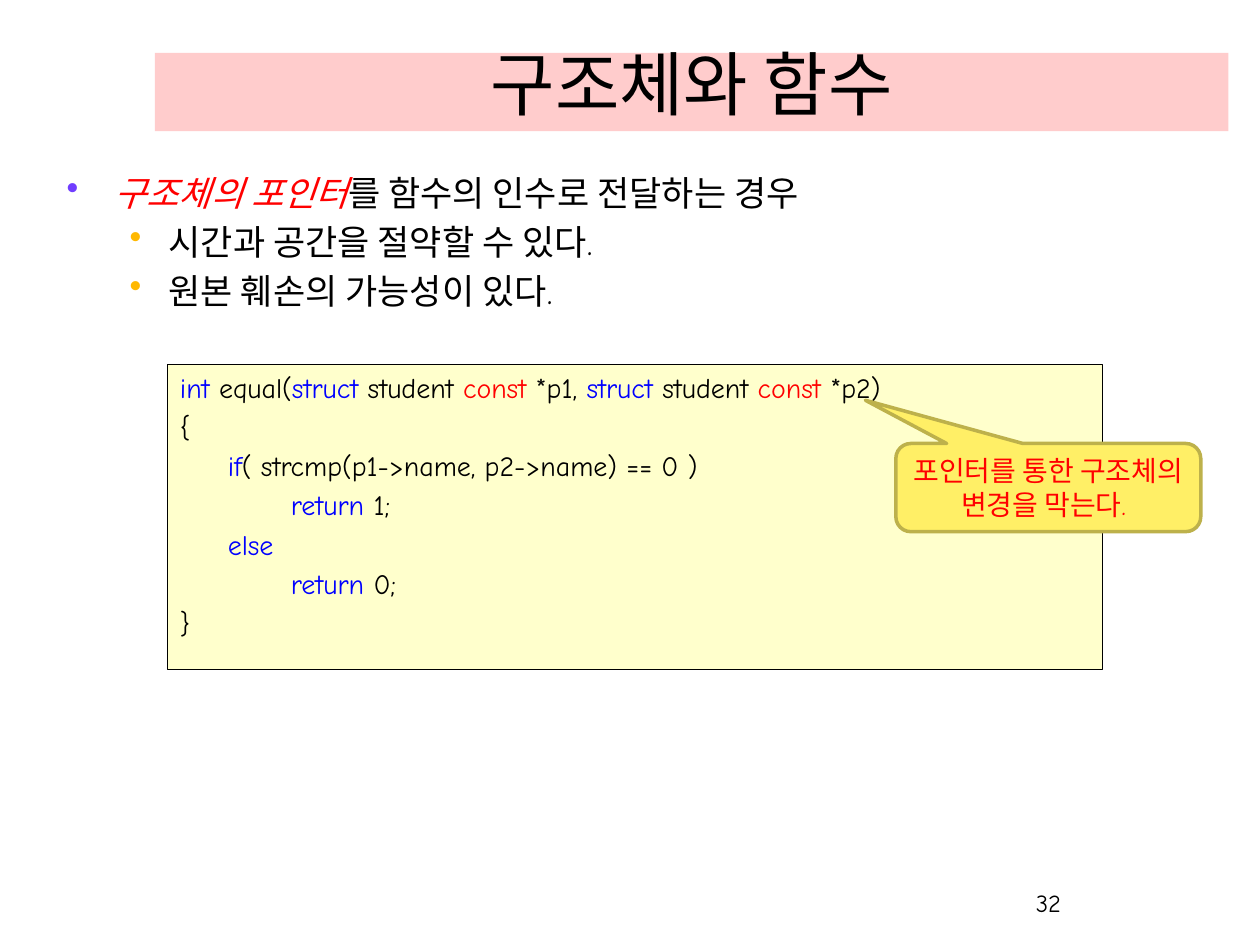
from dataclasses import dataclass

from lxml import etree
from pptx import Presentation
from pptx.dml.color import RGBColor
from pptx.enum.shapes import MSO_SHAPE
from pptx.enum.text import MSO_ANCHOR, MSO_AUTO_SIZE, PP_ALIGN
from pptx.oxml.ns import qn
from pptx.util import Inches, Pt

RECTANGLE = MSO_SHAPE.RECTANGLE
CALLOUT = MSO_SHAPE.ROUNDED_RECTANGULAR_CALLOUT
TOP, MIDDLE, BOTTOM = MSO_ANCHOR.TOP, MSO_ANCHOR.MIDDLE, MSO_ANCHOR.BOTTOM
LEFT, CENTER, RIGHT = PP_ALIGN.LEFT, PP_ALIGN.CENTER, PP_ALIGN.RIGHT
JUSTIFY = PP_ALIGN.JUSTIFY
FIXED_SIZE = MSO_AUTO_SIZE.NONE
TITLE_ONLY = 5
WIDTH, HEIGHT = 10, 7.5


@dataclass(frozen=True)
class Theme:
    font: str = "Comic Neue"
    title_size: int = 40
    body_size: int = 20
    code_size: int = 16
    number_size: int = 14
    text: str = "000000"
    keyword: str = "0000FF"
    accent: str = "FF0000"
    title_fill: str = "FFCCCC"
    code_fill: str = "FFFFCC"
    callout_fill: str = "FFEF66"
    callout_line: str = "BDB14B"
    bullets: tuple = ("703DFF", "FFB800")
    indents: tuple = ((0.38, -0.38), (0.81, -0.31))
    space_before: int = 20


THEME = Theme()
PLAIN, KEYWORD, ACCENT = THEME.text, THEME.keyword, THEME.accent

# Each line is a list of (text, colour) pieces.
POINTS = [
    (0, [("구조체의 포인터", ACCENT), ("를 함수의 인수로 전달하는 경우", PLAIN)]),
    (1, [("시간과 공간을 절약할 수 있다.", PLAIN)]),
    (1, [("원본 훼손의 가능성이 있다.", PLAIN)]),
]
CODE = [
    [("int", KEYWORD), (" equal(", PLAIN), ("struct ", KEYWORD),
     ("student ", PLAIN), ("const", ACCENT), (" *p1, ", PLAIN),
     ("struct", KEYWORD), (" student ", PLAIN), ("const", ACCENT),
     (" *p2)", PLAIN)],
    [("{", PLAIN)],
    [("\t", PLAIN), ("if", KEYWORD),
     ("( strcmp(p1->name, p2->name) == 0 )", PLAIN)],
    [("\t\t", PLAIN), ("return", KEYWORD), (" 1;", PLAIN)],
    [("\t", PLAIN), ("else", KEYWORD)],
    [("\t\t", PLAIN), ("return ", KEYWORD), ("0;", PLAIN)],
    [("}", PLAIN)],
]


def box(left, top, width, height):
    return [Inches(length) for length in (left, top, width, height)]


def set_all(target, values):
    for name, value in values.items():
        setattr(target, name, value)


def paint(shape, fill, line=None, line_width=0):
    shape.fill.solid()
    shape.fill.fore_color.rgb = RGBColor.from_string(fill)
    if line:
        shape.line.color.rgb = RGBColor.from_string(line)
        shape.line.width = Pt(line_width)
    else:
        shape.line.fill.background()


def prepare_frame(shape, anchor=TOP):
    frame = shape.text_frame
    set_all(frame, {"word_wrap": True, "auto_size": FIXED_SIZE,
                    "vertical_anchor": anchor})
    return frame


def write_line(paragraph, pieces, size, alignment=LEFT):
    paragraph.alignment = alignment
    for text, colour in pieces:
        run = paragraph.add_run()
        run.text = text
        set_all(run.font, {"name": THEME.font, "size": Pt(size)})
        run.font.color.rgb = RGBColor.from_string(colour)


def indent(paragraph, level, bullet_colour=None):
    """Set hanging indent, proportional spacing and an optional bullet."""
    properties = paragraph._p.get_or_add_pPr()
    margin, hanging = THEME.indents[level]
    properties.set("marL", str(Inches(margin)))
    properties.set("indent", str(Inches(hanging)))
    spacing = etree.SubElement(properties, qn("a:spcBef"))
    etree.SubElement(spacing, qn("a:spcPct"), val=str(THEME.space_before * 1000))
    if bullet_colour:
        colour = etree.SubElement(properties, qn("a:buClr"))
        etree.SubElement(colour, qn("a:srgbClr"), val=bullet_colour)
        etree.SubElement(properties, qn("a:buChar"), char="•")


def paragraphs(frame, count):
    yield frame.paragraphs[0]
    for _ in range(count - 1):
        yield frame.add_paragraph()


def add_panel(slide, kind, place, anchor, *colours):
    panel = slide.shapes.add_shape(kind, *place)
    panel.shadow.inherit = False
    paint(panel, *colours)
    return panel, prepare_frame(panel, anchor)


def add_title(slide, text):
    title = slide.shapes.title
    left, top, width, height = box(1.23, 0.42, 8.52, 0.62)
    set_all(title, {"left": left, "top": top, "width": width, "height": height})
    paint(title, THEME.title_fill)
    frame = prepare_frame(title, BOTTOM)
    write_line(frame.paragraphs[0], [(text, PLAIN)], THEME.title_size, CENTER)


def add_points(slide):
    frame = prepare_frame(slide.shapes.add_textbox(*box(0.43, 1.31, 9, 4.95)))
    for paragraph, (level, pieces) in zip(paragraphs(frame, len(POINTS)), POINTS):
        paragraph.level = level
        write_line(paragraph, pieces, THEME.body_size)
        indent(paragraph, level, THEME.bullets[level])
    frame.paragraphs[0].runs[0].font.italic = True


def add_code(slide):
    _, frame = add_panel(slide, RECTANGLE, box(1.33, 2.89, 7.42, 2.42), TOP,
                         THEME.code_fill, PLAIN, 0.25)
    for paragraph, pieces in zip(paragraphs(frame, len(CODE)), CODE):
        write_line(paragraph, pieces, THEME.code_size)
        indent(paragraph, 0)
    frame.paragraphs[-1].alignment = JUSTIFY


def add_callout(slide, text):
    callout, frame = add_panel(slide, CALLOUT, box(7.11, 3.52, 2.42, 0.7), MIDDLE,
                               THEME.callout_fill, THEME.callout_line, 2)
    for index, value in enumerate((-0.6, -0.99, 0.17)):
        callout.adjustments[index] = value
    write_line(frame.paragraphs[0], [(text, ACCENT)], THEME.code_size, CENTER)


def add_page_number(slide, number):
    frame = prepare_frame(slide.shapes.add_textbox(*box(6.44, 7, 2.08, 0.5)))
    write_line(frame.paragraphs[0], [(number, PLAIN)], THEME.number_size, RIGHT)


def main():
    deck = Presentation()
    set_all(deck, {"slide_width": Inches(WIDTH), "slide_height": Inches(HEIGHT)})
    slide = deck.slides.add_slide(deck.slide_layouts[TITLE_ONLY])
    add_title(slide, "구조체와 함수")
    add_points(slide)
    add_code(slide)
    add_callout(slide, "포인터를 통한 구조체의 변경을 막는다. ")
    add_page_number(slide, "32")
    deck.save("out.pptx")


if __name__ == "__main__":
    main()
